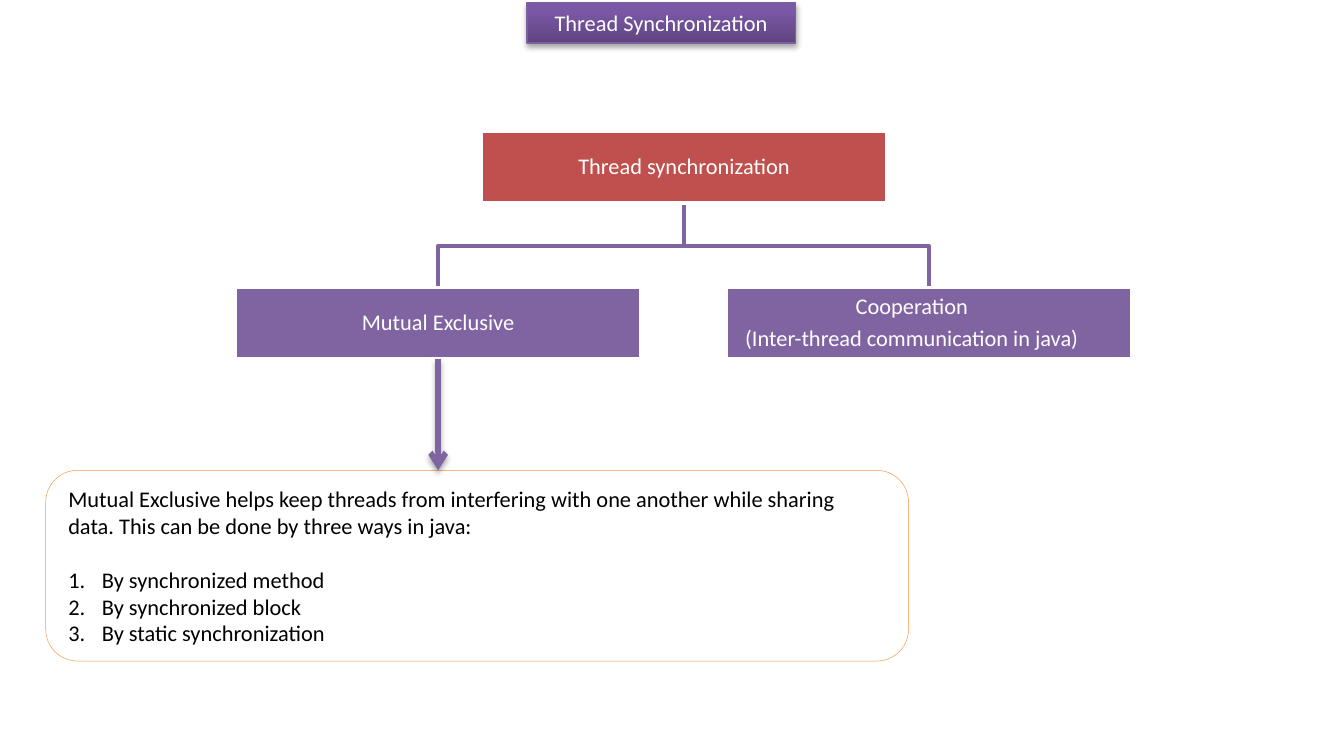
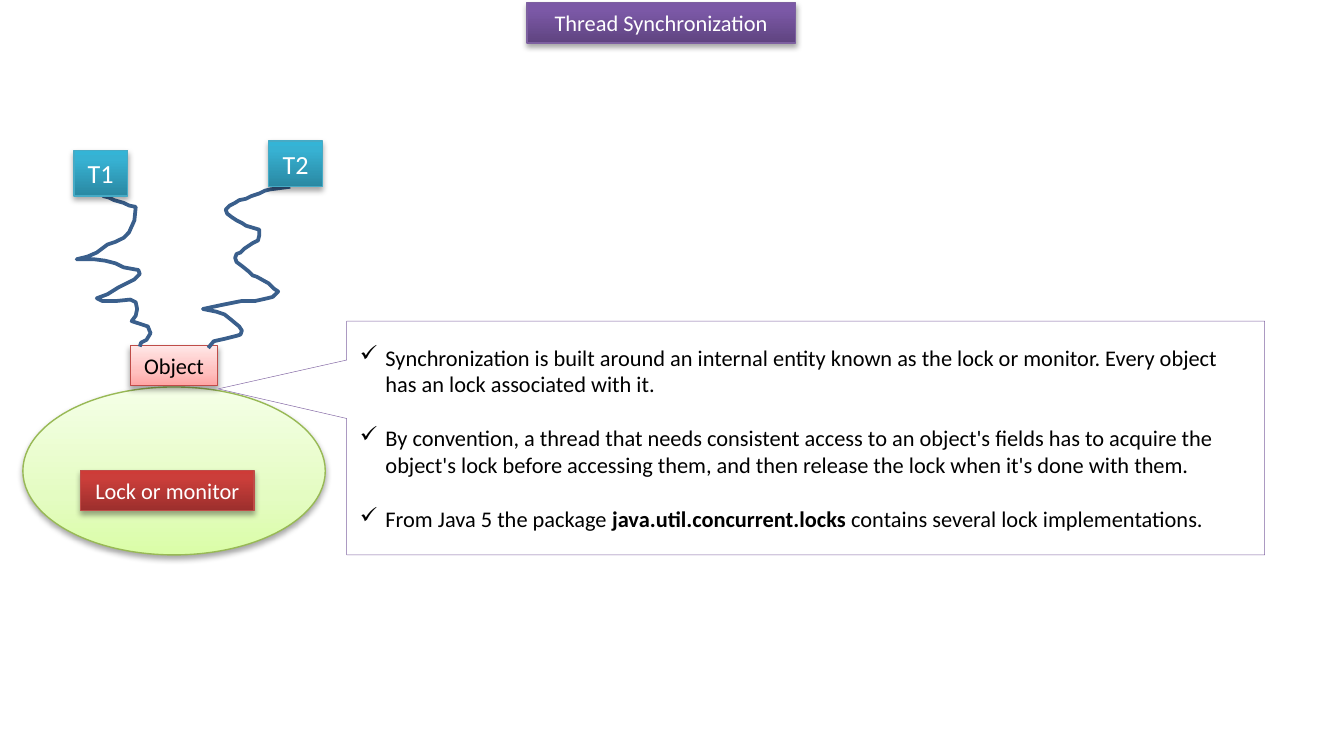
from pptx import Presentation
from pptx.dml.color import RGBColor
from pptx.enum.shapes import MSO_CONNECTOR, MSO_SHAPE
from pptx.enum.text import MSO_ANCHOR, MSO_AUTO_SIZE, PP_ALIGN
from pptx.oxml.ns import qn
from pptx.util import Inches, Pt
from lxml.etree import SubElement

WHITE = RGBColor(0xFF, 0xFF, 0xFF)
BLACK = RGBColor(0x00, 0x00, 0x00)
PURPLE = RGBColor(0x80, 0x64, 0xA2)
RED = RGBColor(0xC0, 0x50, 0x4D)
ORANGE = RGBColor(0xF7, 0x96, 0x46)
THREAD_BLUE = RGBColor(0x3A, 0x5F, 0x8C)
PURPLE_EDGE = RGBColor(0x7D, 0x60, 0xA0)
RED_EDGE = RGBColor(0xBF, 0x4C, 0x48)
GREEN_EDGE = RGBColor(0x98, 0xB9, 0x55)
TEAL_EDGE = RGBColor(0x46, 0xAA, 0xC5)

PURPLE_GRADIENT = [(0, "5F4480"), (80, "7B58A6"), (100, "7C57A8")]
RED_GRADIENT = [(0, "9C2F2D"), (80, "CB3E3A"), (100, "CE3B37")]
PINK_GRADIENT = [(0, "FFA6A5"), (35, "FFC0BF"), (100, "FFE7E7")]
GREEN_GRADIENT = [(0, "DAFDA7"), (35, "E4FCC2"), (100, "F5FFE7")]
TEAL_GRADIENT = [(0, "2A88A2"), (80, "37B1D2"), (100, "34B4D6")]

FONT = "Calibri"
BLANK_LINE = Pt(14.5)
NODE_W, NODE_H = 3.02, 0.53

T1_PATH = [
    (0.72, 1.36), (0.75, 1.43), (0.77, 1.46), (0.81, 1.47), (0.85, 1.49), (0.92, 1.51),
    (0.96, 1.53), (1.01, 1.54), (1, 1.64), (0.96, 1.73), (0.92, 1.77), (0.86, 1.8),
    (0.8, 1.82), (0.76, 1.85), (0.72, 1.88), (0.65, 1.91), (0.57, 1.93), (0.7, 1.93),
    (0.78, 1.94), (0.86, 1.96), (0.92, 1.99), (1.03, 2.01), (1.04, 2.04), (1, 2.08),
    (0.92, 2.12), (0.88, 2.14), (0.8, 2.19), (0.72, 2.22), (0.76, 2.24), (0.87, 2.24),
    (0.97, 2.23), (1.01, 2.25), (1.02, 2.3), (1.01, 2.35), (0.98, 2.39), (1.07, 2.42),
    (1.1, 2.43), (1.12, 2.48), (1.09, 2.53), (1.05, 2.55), (1.04, 2.58)]
T2_PATH = [
    (2.16, 1.39), (2.01, 1.41), (1.97, 1.42), (1.93, 1.44), (1.87, 1.46), (1.83, 1.48),
    (1.78, 1.49), (1.75, 1.51), (1.71, 1.53), (1.68, 1.56), (1.69, 1.59), (1.73, 1.62),
    (1.76, 1.64), (1.8, 1.66), (1.83, 1.68), (1.93, 1.71), (1.93, 1.75), (1.92, 1.79),
    (1.88, 1.81), (1.82, 1.85), (1.79, 1.88), (1.76, 1.89), (1.75, 1.92), (1.76, 1.95),
    (1.8, 1.98), (1.85, 2.02), (1.88, 2.05), (1.91, 2.06), (2, 2.11), (2.04, 2.15),
    (2.07, 2.17), (2.03, 2.21), (1.99, 2.22), (1.9, 2.24), (1.8, 2.24), (1.65, 2.27),
    (1.51, 2.3), (1.61, 2.32), (1.67, 2.34), (1.72, 2.38), (1.78, 2.43), (1.8, 2.46),
    (1.79, 2.49), (1.76, 2.5), (1.72, 2.51), (1.68, 2.52), (1.59, 2.54), (1.55, 2.59)]


def place(shape, x, y, w, h):
    shape.left, shape.top = Inches(x), Inches(y)
    shape.width, shape.height = Inches(w), Inches(h)


def outline(shape, color, width):
    shape.line.color.rgb = color
    shape.line.width = Pt(width)


def add_shadow(effects, alpha=35):
    shadow = SubElement(effects, qn("a:outerShdw"), blurRad=str(Pt(3.1)),
                        dist=str(Pt(1.8)), dir="5400000", rotWithShape="0")
    color = SubElement(shadow, qn("a:srgbClr"), val="000000")
    SubElement(color, qn("a:alpha"), val=str(alpha * 1000))


def gloss(shape, stops, edge):
    shape.fill.gradient()
    shape.fill.gradient_angle = 90
    stop_list = shape._element.spPr.find(".//" + qn("a:gsLst"))
    stop_list.clear()
    for position, color in stops:
        stop = SubElement(stop_list, qn("a:gs"), pos=str(position * 1000))
        SubElement(stop, qn("a:srgbClr"), val=color)
    outline(shape, edge, 0.75)
    shape.shadow.inherit = False
    add_shadow(shape._element.spPr.find(qn("a:effectLst")))


def style(p, color, size=12, align=PP_ALIGN.LEFT):
    p.alignment = align
    for r in p.runs:
        r.font.name, r.font.size, r.font.color.rgb = FONT, Pt(size), color


def add_box(s, kind, at, fill, edge, width):
    sp = s.shapes.add_shape(kind, *map(Inches, at))
    sp.shadow.inherit = False
    sp.fill.solid()
    sp.fill.fore_color.rgb = fill
    outline(sp, edge, width)
    return sp


def add_glossy(s, kind, at, stops, edge, text="", color=WHITE, size=12):
    sp = s.shapes.add_shape(kind, *map(Inches, at))
    gloss(sp, stops, edge)
    if text:
        tf = sp.text_frame
        tf.word_wrap = False
        tf.text = text
        style(tf.paragraphs[0], color, size, PP_ALIGN.CENTER)
    return sp


def add_path(s, points, color):
    (x, y), *rest = [(round(px * 100), round(py * 100)) for px, py in points]
    builder = s.shapes.build_freeform(x, y, scale=Inches(0.01))
    builder.add_line_segments(rest, close=False)
    sp = builder.convert_to_shape()
    sp.shadow.inherit = False
    sp.fill.background()
    outline(sp, color, 2)


def add_node(s, x, y, fill, lines):
    sp = add_box(s, MSO_SHAPE.RECTANGLE, (x, y, NODE_W, NODE_H), fill, WHITE, 2)
    tf = sp.text_frame
    tf.margin_left = tf.margin_right = tf.margin_top = tf.margin_bottom = Inches(0.01)
    tf.text = "\n".join(lines)
    for i, p in enumerate(tf.paragraphs):
        p.line_spacing = 0.9
        if i:
            p.space_before = Pt(4)
        style(p, WHITE, align=PP_ALIGN.CENTER)
    return sp


def add_arrow(s, start, x, y_from, y_to):
    line = s.shapes.add_connector(MSO_CONNECTOR.STRAIGHT, Inches(x), Inches(y_from),
                                  Inches(x), Inches(y_to))
    line.begin_connect(start, 2)
    outline(line, PURPLE, 3)
    SubElement(line.line._get_or_add_ln(), qn("a:tailEnd"), type="arrow")
    add_shadow(SubElement(line._element.spPr, qn("a:effectLst")))


def set_bullet(p, indent, tag, **attributes):
    pPr = p._p.get_or_add_pPr()
    pPr.set("marL", str(Inches(indent)))
    pPr.set("indent", str(-Inches(indent)))
    SubElement(pPr, qn(tag), **attributes)


def add_titled_slide(prs):
    s = prs.slides.add_slide(prs.slide_layouts[5])
    title = s.shapes.title
    place(title, 3.92, 0.02, 2, 0.3)
    gloss(title, PURPLE_GRADIENT, PURPLE_EDGE)
    tf = title.text_frame
    tf.text = "Thread Synchronization"
    tf.auto_size = MSO_AUTO_SIZE.NONE
    tf.vertical_anchor = MSO_ANCHOR.MIDDLE
    style(tf.paragraphs[0], WHITE, align=PP_ALIGN.CENTER)
    return s


def build_overview(prs):
    s = add_titled_slide(prs)
    root_x, root_y, child_y = 3.58, 0.98, 2.14
    root_mid, root_bottom = root_x + NODE_W / 2, root_y + NODE_H
    branch_y = (root_bottom + child_y) / 2
    children = [(1.75, ["Mutual Exclusive"]),
                (5.4, ["Cooperation", "(Inter-thread communication in java)"])]
    for x, _ in children:
        mid = x + NODE_W / 2
        add_path(s, [(root_mid, root_bottom), (root_mid, branch_y),
                     (mid, branch_y), (mid, child_y)], PURPLE)
    add_node(s, root_x, root_y, RED, ["Thread synchronization"])
    mutual, cooperation = [add_node(s, x, child_y, PURPLE, lines) for x, lines in children]
    heading = cooperation.text_frame.paragraphs[0]
    heading._p.get_or_add_pPr().set("marR", str(Inches(0.25)))

    note = add_box(s, MSO_SHAPE.ROUNDED_RECTANGLE, (0.34, 3.5, 6.42, 1.42), WHITE, ORANGE, 0.25)
    tf = note.text_frame
    tf.text = "\n".join([
        "Mutual Exclusive helps keep threads from interfering with one another while "
        "sharing data. This can be done by three ways in java:",
        "By synchronized method", "By synchronized block", "By static synchronization"])
    for i, p in enumerate(tf.paragraphs):
        if i:
            set_bullet(p, 0.25, "a:buAutoNum", type="arabicPeriod")
        style(p, BLACK)
    tf.paragraphs[1].space_before = BLANK_LINE
    add_arrow(s, mutual, 1.75 + NODE_W / 2, child_y + NODE_H, 3.5)


def build_lock(prs):
    s = add_titled_slide(prs)
    rect = MSO_SHAPE.RECTANGLE
    add_glossy(s, MSO_SHAPE.OVAL, (0.17, 2.88, 2.25, 1.25), GREEN_GRADIENT, GREEN_EDGE)
    add_glossy(s, rect, (0.6, 3.5, 1.29, 0.3), RED_GRADIENT, RED_EDGE, "Lock or monitor")
    add_glossy(s, rect, (0.97, 2.57, 0.65, 0.3), PINK_GRADIENT, RED_EDGE, "Object", BLACK)
    for points in (T1_PATH, T2_PATH):
        add_path(s, points, THREAD_BLUE)
    for name, x, y in (("T1", 0.55, 1.12), ("T2", 2, 1.05)):
        add_glossy(s, rect, (x, y, 0.4, 0.34), TEAL_GRADIENT, TEAL_EDGE, name, size=14)

    callout = add_box(s, MSO_SHAPE.RECTANGULAR_CALLOUT, (2.58, 2.39, 6.83, 1.74),
                      WHITE, PURPLE, 0.25)
    callout.adjustments[0], callout.adjustments[1] = -0.64, -0.21
    tf = callout.text_frame
    tf.text = "\n".join([
        "Synchronization is built around an internal entity known as the lock or monitor. "
        "Every object has an lock associated with it.",
        "By convention, a thread that needs consistent access to an object's fields has to "
        "acquire the object's lock before accessing them, and then release the lock when "
        "it's done with them.",
        "From Java 5 the package "])
    package_line = tf.paragraphs[2]
    for text, bold in (("java.util.concurrent.locks ", True),
                       ("contains several lock implementations.", False)):
        r = package_line.add_run()
        r.text, r.font.bold = text, bold
    for i, p in enumerate(tf.paragraphs):
        set_bullet(p, 0.19, "a:buChar", char="✓")
        if i:
            p.space_before = BLANK_LINE
        style(p, BLACK)


def main():
    prs = Presentation()
    prs.slide_width, prs.slide_height = Inches(10), Inches(5.5)
    build_overview(prs)
    build_lock(prs)
    prs.save("out.pptx")


if __name__ == "__main__":
    main()
